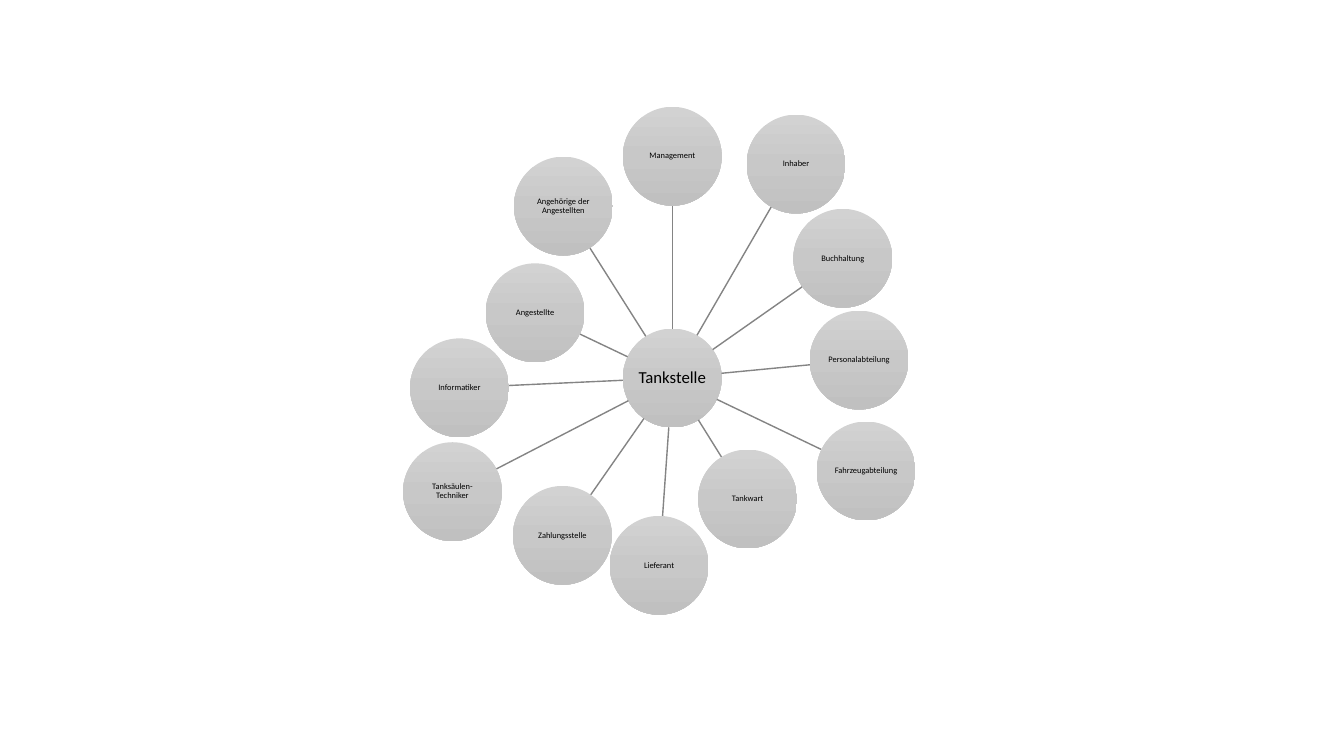
from copy import deepcopy
from math import hypot

from lxml import etree
from pptx import Presentation, util as u
from pptx.dml.color import RGBColor
from pptx.enum import shapes, text
from pptx.oxml.ns import qn

SIZE = 70.6  # diameter of every circle
HUB = ("Tankstelle", 480.2, 270)
NODES = [  # label, centre x, centre y
    ("Management", 480.2, 111.6),
    ("Inhaber", 568.6, 117.2),
    ("Buchhaltung", 602, 184.5),
    ("Personalabteilung", 613.6, 257.2),
    ("Fahrzeugabteilung", 618.6, 336.4),
    ("Tankwart", 534, 356.4),
    ("Lieferant", 470.8, 403.8),
    ("Zahlungsstelle", 401.7, 382.4),
    ("Tanksäulen-Techniker", 323.2, 351.2),
    ("Informatiker", 328.2, 277),
    ("Angestellte", 382.2, 223.4),
    ("Angehörige der Angestellten", 402.4, 147.2),
]


def tint(code):
    return RGBColor.from_string(code)


def put(obj, vals):
    for key, val in vals.items():
        setattr(obj, key, val)


class Chart:
    shades = ("D2D2D2", "C8C8C8", "C0C0C0")
    edge = "848484"
    ink = "000000"
    face = "Calibri"

    def __init__(self, slide):
        self.items = slide.shapes

    def shade(self, fill):
        fill.gradient()
        fill.gradient_angle = 270
        first = fill.gradient_stops[0]._gs
        first.addnext(deepcopy(first))
        for i, (stop, code) in enumerate(zip(fill.gradient_stops, self.shades)):
            stop.position = i / 2
            stop.color.rgb = tint(code)

    def disc(self, label, x, y, size, pad):
        left, top = x - SIZE / 2, y - SIZE / 2
        disc = self.items.add_shape(
            shapes.MSO_SHAPE.OVAL, u.Pt(left), u.Pt(top), u.Pt(SIZE), u.Pt(SIZE))
        disc.shadow.inherit = False
        disc.line.fill.background()
        self.shade(disc.fill)
        frame = disc.text_frame
        sides = ("left", "top", "right", "bottom")
        put(frame, {f"margin_{side}": u.Pt(pad) for side in sides})
        put(frame, {"word_wrap": True, "vertical_anchor": text.MSO_ANCHOR.MIDDLE})
        para = frame.paragraphs[0]
        put(para, {"alignment": text.PP_ALIGN.CENTER, "line_spacing": 0.9})
        run = para.add_run()
        run.text = label
        put(run.font, {"name": self.face, "size": u.Pt(size)})
        run.font.color.rgb = tint(self.ink)

    def spoke(self, x1, y1, x2, y2):
        # Join the rims of two circles given by their centres
        part = SIZE / 2 / hypot(x2 - x1, y2 - y1)
        dx, dy = (x2 - x1) * part, (y2 - y1) * part
        ends = (x1 + dx, y1 + dy, x2 - dx, y2 - dy)
        spoke = self.items.add_connector(
            shapes.MSO_CONNECTOR.STRAIGHT, *(u.Pt(end) for end in ends))
        spoke.line.width = u.Pt(1)
        spoke.line.color.rgb = tint(self.edge)
        etree.SubElement(spoke._element.spPr, qn("a:effectLst"))


def main():
    deck = Presentation()
    put(deck, {"slide_width": u.Pt(960), "slide_height": u.Pt(540)})
    chart = Chart(deck.slides.add_slide(deck.slide_layouts[6]))

    # Hub
    chart.disc(*HUB, size=12, pad=0.6)

    # Spokes and outer circles
    for node in NODES:
        chart.spoke(*HUB[1:], *node[1:])
        chart.disc(*node, size=6, pad=0)

    deck.save("out.pptx")


if __name__ == "__main__":
    main()
